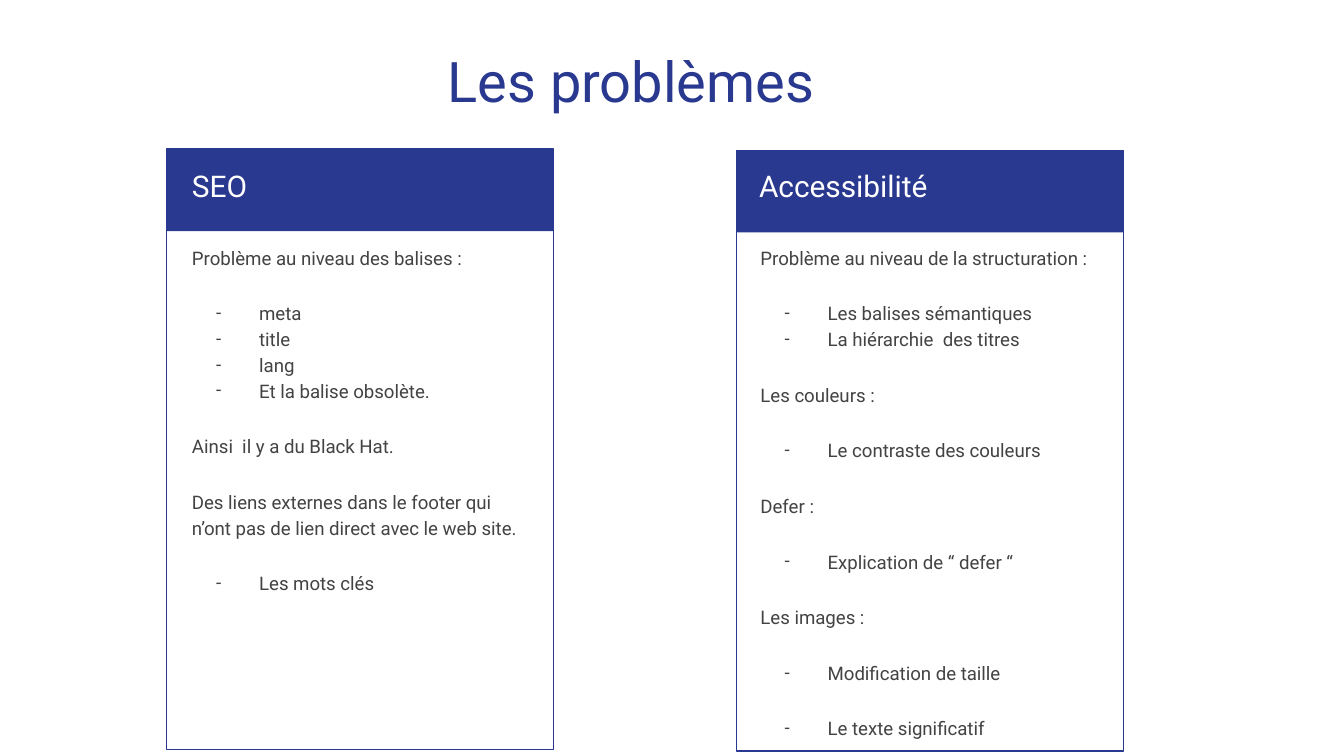
from lxml import etree
from pptx import Presentation
from pptx.dml.color import RGBColor
from pptx.enum.shapes import MSO_SHAPE
from pptx.enum.text import MSO_ANCHOR, PP_ALIGN
from pptx.oxml.ns import qn
from pptx.util import Inches, Pt

RECT = MSO_SHAPE.RECTANGLE
TOP = MSO_ANCHOR.TOP
LEFT, CENTER = PP_ALIGN.LEFT, PP_ALIGN.CENTER
BLUE, GREY, WHITE = "2A3990", "434343", "FFFFFF"
CARD_W, CARD_H, HEADER_H = 2.88, 4.47, 0.61


def rgb(value):
    return RGBColor.from_string(value)


def add_text(box, paragraphs, size, color, align=LEFT, spacing=1.15):
    """Write (text, is_bullet, space_before) paragraphs into a new text box."""
    tf = s.shapes.add_textbox(*[Inches(v) for v in box]).text_frame
    tf.word_wrap = True
    tf.vertical_anchor = TOP
    tf.margin_left = tf.margin_right = Inches(0.1)
    tf.margin_top = tf.margin_bottom = Inches(0.1)
    for i, (text, is_bullet, before) in enumerate(paragraphs):
        p = tf.paragraphs[0] if i == 0 else tf.add_paragraph()
        p.alignment = align
        p.line_spacing = spacing
        p.space_before = Pt(before)
        if is_bullet:
            pPr = p._p.get_or_add_pPr()
            pPr.set("marL", str(Inches(0.5)))
            pPr.set("indent", str(Inches(-0.32)))
            bu_color = etree.SubElement(pPr, qn("a:buClr"))
            etree.SubElement(bu_color, qn("a:srgbClr"), val=color)
            etree.SubElement(pPr, qn("a:buFont"), typeface="Roboto")
            etree.SubElement(pPr, qn("a:buChar"), char="-")
        r = p.add_run()
        r.text = text
        r.font.name = "Roboto"
        r.font.size = Pt(size)
        r.font.color.rgb = rgb(color)


prs = Presentation()
prs.slide_width = Inches(10)
prs.slide_height = Inches(10 * 9 / 16)
s = prs.slides.add_slide(prs.slide_layouts[6])
s.background.fill.solid()
s.background.fill.fore_color.rgb = rgb(WHITE)

add_text((0.04, 0.25, 9.31, 0.66), [("Les problèmes", False, 0)],
         30, BLUE, CENTER, 1.0)

# Card left and top, heading left, body left, heading,
# body paragraphs: (text, is_bullet, space_before)
cards = [
    (1.24, 1.11, 1.33, 1.33, "SEO", [
        ("Problème au niveau des balises :", False, 0),
        ("meta", True, 16),
        ("title", True, 0),
        ("lang", True, 0),
        ("Et la balise obsolète.", True, 0),
        ("Ainsi  il y a du Black Hat.", False, 16),
        ("Des liens externes dans le footer qui n’ont pas de lien direct "
         "avec le web site.", False, 16),
        ("Les mots clés", True, 16),
    ]),
    (5.48, 1.12, 5.55, 5.56, "Accessibilité", [
        ("Problème au niveau de la structuration :", False, 0),
        ("Les balises sémantiques", True, 16),
        ("La hiérarchie  des titres", True, 0),
        ("Les couleurs :", False, 16),
        ("Le contraste des couleurs", True, 16),
        ("Defer :", False, 16),
        ("Explication de “ defer “", True, 16),
        ("Les images :", False, 16),
        ("Modification de taille", True, 16),
        ("Le texte significatif", True, 16),
    ]),
]

for left, top, heading_left, body_left, heading, body in cards:
    header, frame = [
        s.shapes.add_shape(RECT, Inches(left), Inches(top),
                           Inches(CARD_W), Inches(height))
        for height in (HEADER_H, CARD_H)
    ]
    header.shadow.inherit = frame.shadow.inherit = False
    header.fill.solid()
    header.fill.fore_color.rgb = rgb(BLUE)
    header.line.fill.background()
    frame.fill.background()
    frame.line.color.rgb = rgb(BLUE)
    frame.line.width = Pt(0.75)

    add_text((heading_left, 1.11, 2.73, 0.5), [(heading, False, 0)], 16, WHITE)
    add_text((body_left, 1.71, 2.71, 3.85), body, 10, GREY)

prs.save("out.pptx")
